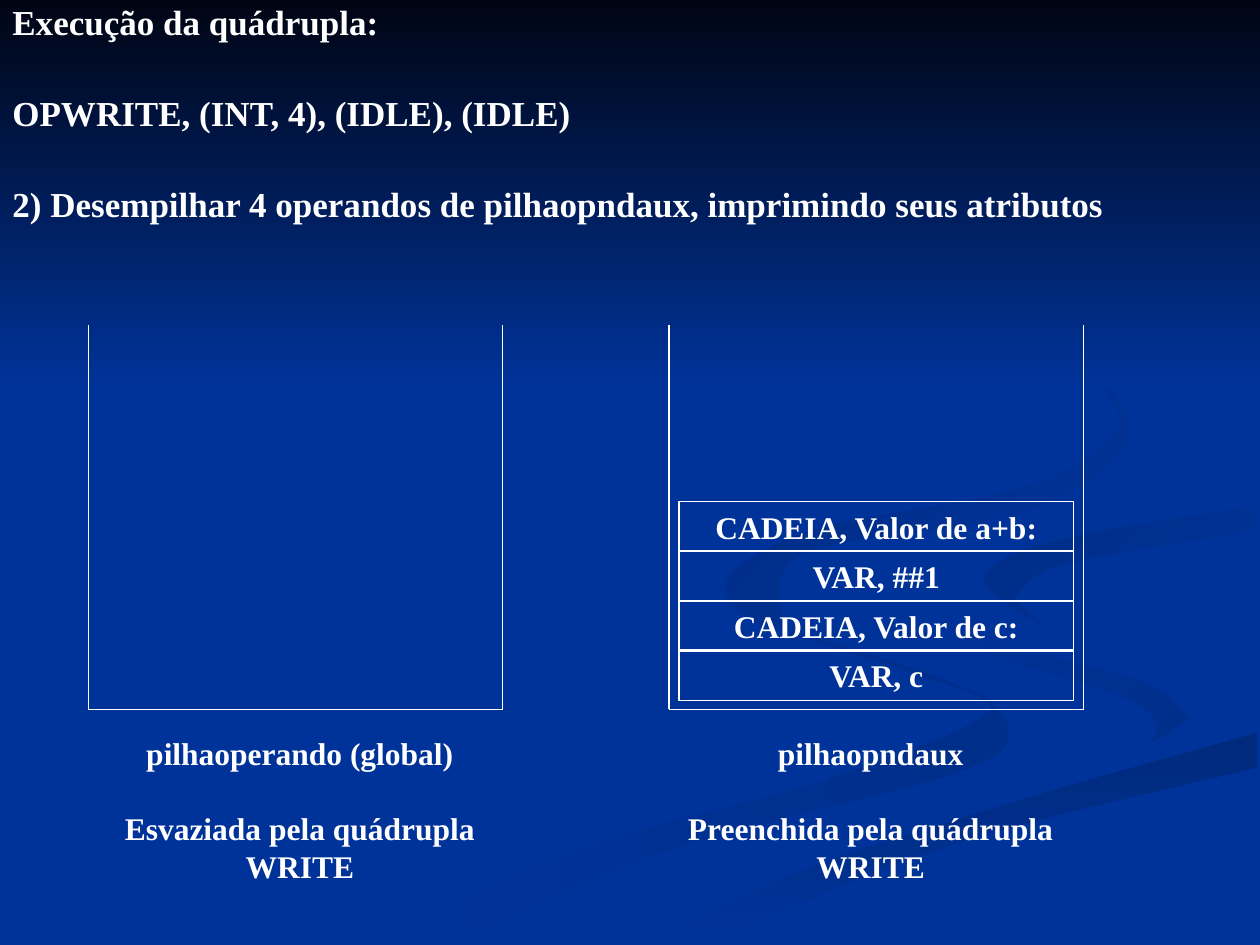
import pptx
import pptx.dml.color
import pptx.enum.shapes
import pptx.enum.text
import pptx.oxml
import pptx.oxml.ns
import pptx.util

Inches = pptx.util.Inches
Pt = pptx.util.Pt

COLORS = {"blue": "003399", "night": "000514", "white": "FFFFFF", "wave1": "002E8B",
          "wave2": "002A7D", "wave3": "002D86", "wave4": "002B82"}

# Content
HEADING = ["Execução da quádrupla:",
           "OPWRITE, (INT, 4), (IDLE), (IDLE)",
           "2) Desempilhar 4 operandos de pilhaopndaux, imprimindo seus atributos"]
STACKS = [
    {"left": 0.7, "caption_left": 0.78, "items": [],
     "caption": ["pilhaoperando (global)", "Esvaziada pela quádrupla WRITE"]},
    {"left": 5.31, "caption_left": 5.31,
     "items": ["CADEIA, Valor de a+b:", "VAR, ##1", "CADEIA, Valor de c:", "VAR, c"],
     "caption": ["pilhaopndaux", "Preenchida pela quádrupla WRITE"]},
]

# Background waves: first colour, last colour, clockwise angle, two curved edges
WAVES = [
    ("blue", "wave1", 0,
     [(5.75, 4.6), (5.93, 4.9), (7.28, 5.35), (7.85, 5.65), (6.52, 6.2), (4.58, 6.74), (3, 7.49)],
     [(3.61, 7.49), (5.32, 6.74), (7.56, 6.14), (8, 5.8), (7.57, 5.43), (6.14, 4.96)]),
    ("blue", "wave1", 45,
     [(7.24, 4.64), (7.66, 5.12), (8.92, 5.53), (9.18, 5.8), (8.94, 6.05)],
     [(9.43, 5.7), (9.05, 5.4), (7.58, 4.98)]),
    ("wave2", "blue", 90,
     [(5.03, 7.49), (6.3, 6.93), (8.31, 6.29), (9.98, 5.81)],
     [(9.98, 6.09), (7.85, 6.61), (6.49, 7.1), (5.71, 7.49)]),
    ("blue", "blue", 0,
     [(9.99, 3.87), (8.08, 4.17), (7.25, 4.64), (7.93, 5.09), (9.05, 5.4), (9.43, 5.7),
      (8.43, 6.18), (6.19, 6.84), (4.77, 7.49)],
     [(5.03, 7.49), (6.96, 6.69), (9.99, 5.81)],
     [(9.99, 5.38), (8.48, 5.03), (7.81, 4.63), (8.35, 4.3), (9.99, 4.02)]),
    ("wave3", "blue", 45,
     [(9.98, 4.02), (8.35, 4.3), (7.81, 4.6), (8.26, 4.96)],
     [(8.05, 4.75), (8.43, 4.48), (9.98, 4.2)]),
    ("wave4", "blue", 45,
     [(7.62, 2.33), (8.64, 2.91), (8.92, 3.54), (8.07, 4.07), (6.35, 4.4), (6.22, 5)],
     [(6.22, 5), (5.77, 4.62), (6.49, 4.2), (8.18, 3.86), (8.89, 3.35), (8.46, 2.79)]),
    ("night", "blue", 90, [(0, 0), (10, 0)], [(10, 3.08), (0, 3.08)]),
]
CURVE_STEPS = 8

STACK_TOP, STACK_BOTTOM, STACK_WIDTH = 2.58, 5.63, 3.29
ITEM_TOP, ITEM_LAST_TOP, ITEM_HEIGHT, ITEM_WIDTH, ITEM_INSET = 3.98, 5.16, 0.4, 3.13, 0.08
FONT = {"name": "Times New Roman", "bold": True}


def rgb(name):
    return pptx.dml.color.RGBColor.from_string(COLORS[name])


def write(box, lines, size, gap, **formats):
    """Write one paragraph per line, with a gap in points between them."""
    frame = box.text_frame
    frame.word_wrap = True
    frame.vertical_anchor = pptx.enum.text.MSO_ANCHOR.TOP
    for index, line in enumerate(lines):
        para = frame.paragraphs[0] if index == 0 else frame.add_paragraph()
        span = para.add_run()
        span.text = line
        for key, value in {**FONT, "size": Pt(size)}.items():
            setattr(span.font, key, value)
        span.font.color.rgb = rgb("white")
        for key, value in {"space_before": Pt(gap if index else 0), **formats}.items():
            setattr(para, key, value)


def blend(a, b, c, d, t):
    """Value between b and c on a smooth curve through a, b, c and d."""
    return b + t / 2 * (c - a + t * (2 * a - 5 * b + 4 * c - d + t * (3 * (b - c) + d - a)))


def curve(points):
    if len(points) == 2:
        return points
    padded = [points[0], *points, points[-1]]
    smooth = [tuple(blend(*axis, step / CURVE_STEPS) for axis in zip(*group))
              for group in zip(padded, padded[1:], padded[2:], padded[3:])
              for step in range(CURVE_STEPS)]
    return smooth + [points[-1]]


def add_wave(page, first, last, angle, *edges):
    corners = [(Inches(x), Inches(y)) for edge in edges for x, y in curve(edge)]
    builder = page.shapes.build_freeform(*corners[0], scale=1.0)
    builder.add_line_segments(corners[1:], close=True)
    wave = builder.convert_to_shape()
    wave.shadow.inherit = False
    wave.line.fill.background()
    if first == last:
        wave.fill.solid()
        wave.fill.fore_color.rgb = rgb(first)
        return
    wave.fill.gradient()
    wave.fill.gradient_angle = -angle % 360
    for stop, position, name in zip(wave.fill.gradient_stops, (0, 1), (first, last)):
        stop.position = position
        stop.color.rgb = rgb(name)


def add_line(page, start, end):
    line = page.shapes.add_connector(pptx.enum.shapes.MSO_CONNECTOR.STRAIGHT,
                                     *map(Inches, start + end))
    line.line.color.rgb = rgb("white")
    line.line.width = Pt(0.75)
    line._element.spPr.append(pptx.oxml.parse_xml(
        "<a:effectLst %s/>" % pptx.oxml.ns.nsdecls("a")))


def add_stack(page, stack):
    left, right = stack["left"], stack["left"] + STACK_WIDTH
    centre = {"alignment": pptx.enum.text.PP_ALIGN.CENTER}

    # Stacked operands
    pitch = (ITEM_LAST_TOP - ITEM_TOP) / 3
    for index, item in enumerate(stack["items"]):
        box = page.shapes.add_shape(
            pptx.enum.shapes.MSO_SHAPE.RECTANGLE, Inches(left + ITEM_INSET),
            Inches(ITEM_TOP + index * pitch), Inches(ITEM_WIDTH), Inches(ITEM_HEIGHT))
        box.shadow.inherit = False
        box.fill.background()
        box.line.color.rgb = rgb("white")
        box.line.width = Pt(0.75)
        write(box, [item], 18, 0, **centre)

    # Open container
    corners = [(left, STACK_TOP), (left, STACK_BOTTOM), (right, STACK_BOTTOM), (right, STACK_TOP)]
    for start, end in zip(corners, corners[1:]):
        add_line(page, start, end)

    # Caption
    caption = page.shapes.add_textbox(*map(Inches, (stack["caption_left"], 5.78, 3.2, 1.3)))
    write(caption, stack["caption"], 18, 21, **centre)


def main():
    deck = pptx.Presentation()
    deck.slide_width, deck.slide_height = Inches(10), Inches(7.5)
    page = deck.slides.add_slide(deck.slide_layouts[6])
    page.background.fill.solid()
    page.background.fill.fore_color.rgb = rgb("blue")
    for wave in WAVES:
        add_wave(page, *wave)

    # Heading
    heading = page.shapes.add_textbox(0, 0, Inches(10), Inches(7.5))
    write(heading, HEADING, 20, 31, line_spacing=Pt(21))

    for stack in STACKS:
        add_stack(page, stack)
    deck.save("out.pptx")


if __name__ == "__main__":
    main()
